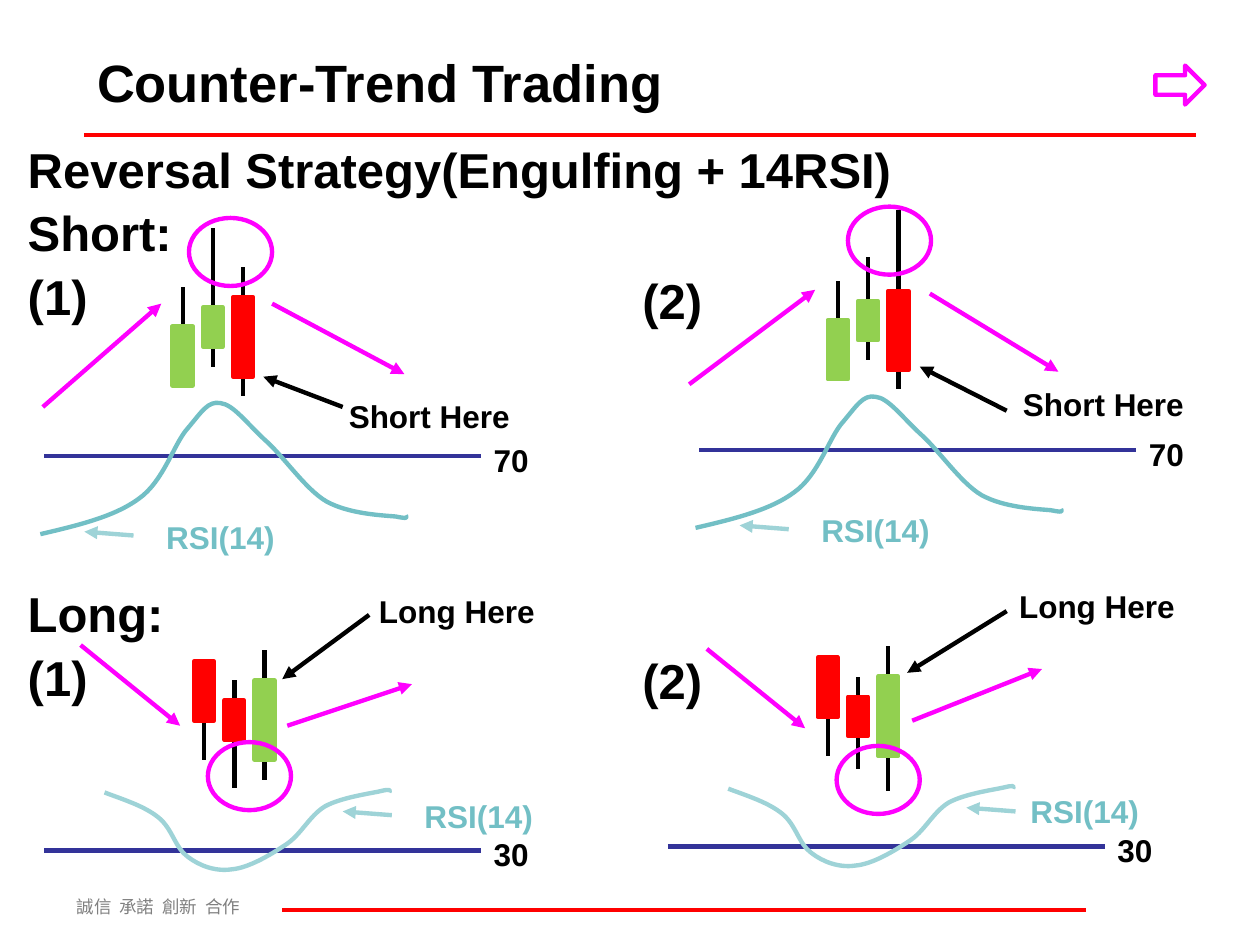
"""Build the Counter-Trend Trading slide with four RSI reversal setups."""
from dataclasses import dataclass

from lxml.etree import SubElement
from pptx import Presentation
from pptx.dml.color import RGBColor
from pptx.enum.shapes import MSO_CONNECTOR as Connector, MSO_SHAPE as Shape
from pptx.enum.text import MSO_ANCHOR as Anchor, MSO_AUTO_SIZE as AutoSize, PP_ALIGN as Align
from pptx.oxml.ns import qn
from pptx.util import Inches, Pt


@dataclass(frozen=True)
class Theme:
    ink: str = "000000"
    rule: str = "FF0000"
    rise: str = "92D050"
    fall: str = "FF0000"
    accent: str = "FF00FF"
    level: str = "333399"
    rsi: str = "72BFC5"
    rsi_light: str = "9ED3D7"
    motto: str = "808080"
    latin: str = "Arial"
    cjk: str = "Noto Sans CJK SC"
    title_size: int = 30
    body_size: int = 28
    label_size: int = 18
    motto_size: int = 10
    stroke: float = 2.5
    rule_stroke: float = 2.25


theme = Theme()
presentation = Presentation()
presentation.slide_width, presentation.slide_height = Inches(10), Inches(7.5)
slide = presentation.slides.add_slide(presentation.slide_layouts[1])
shapes = slide.shapes


def write(paragraph, text, size, color=theme.ink, font=theme.latin, bold=True):
    run = paragraph.add_run()
    run.text = text
    run.font.size, run.font.bold, run.font.name = Pt(size), bold, font
    run.font.color.rgb = RGBColor.from_string(color)
    SubElement(run.font._element, qn("a:ea")).set("typeface", font)


def draw_line(start, end, color, arrow=False, width=theme.stroke):
    stroke = shapes.add_connector(Connector.STRAIGHT, *(Inches(v) for v in (*start, *end)))
    stroke.line.color.rgb = RGBColor.from_string(color)
    stroke.line.width = Pt(width)
    if arrow:
        SubElement(stroke.line._get_or_add_ln(), qn("a:tailEnd")).set("type", "triangle")
    SubElement(stroke._element.spPr, qn("a:effectLst"))


draw_line((0.67, 1.07), (9.49, 1.07), theme.rule, width=theme.rule_stroke)
draw_line((2.24, 7.22), (8.62, 7.22), theme.rule, width=theme.rule_stroke)

heading = shapes.title
heading.left, heading.top, heading.width, heading.height = (
    Inches(v) for v in (0.67, 0.3, 9.06, 0.69))
heading.text_frame.vertical_anchor = Anchor.MIDDLE
heading.text_frame.paragraphs[0].alignment = Align.LEFT
write(heading.text_frame.paragraphs[0], "Counter-Trend Trading", theme.title_size)

outline = slide.placeholders[1]
outline.left, outline.top, outline.width, outline.height = (
    Inches(v) for v in (0.12, 1.11, 9.88, 4.6))
outline.text_frame.vertical_anchor = Anchor.TOP
outline.text_frame.auto_size = AutoSize.NONE
for row, (text, gap) in enumerate([
        ("Reversal Strategy(Engulfing + 14RSI)", 0), ("Short:", 6), ("(1)", 6),
        ("Long:", 151), ("(1)", 6)]):
    line = outline.text_frame.add_paragraph() if row else outline.text_frame.paragraphs[0]
    line.line_spacing, line.space_before = 0.9, Pt(gap)
    properties = line._p.get_or_add_pPr()
    properties.set("marL", "0")
    properties.set("indent", "0")
    SubElement(properties, qn("a:buNone"))
    write(line, text, theme.body_size)

motto = shapes.add_textbox(Inches(0.51), Inches(7.06), Inches(2.52), Inches(0.27))
motto.text_frame.word_wrap = True
motto_line = motto.text_frame.paragraphs[0]
tabs = SubElement(motto_line._p.get_or_add_pPr(), qn("a:tabLst"))
for stop in (0.34, 0.68, 1.02):
    tab = SubElement(tabs, qn("a:tab"))
    tab.set("pos", str(Inches(stop)))
    tab.set("algn", "l")
write(motto_line, "誠信\t承諾\t創新\t合作", theme.motto_size, theme.motto, theme.cjk, False)

strategies = [
    dict(
        entry="Short Here", level="70", level_y=3.62, level_label_y=3.45, second_y=2.1,
        first_candle=1.37, colors=(theme.rise, theme.rise, theme.fall), tops=(2.59, 2.44, 2.36),
        rsi_arrow=((1.06, 4.25), (0.67, 4.22)), rsi_width=2.13, curve_color=theme.rsi,
        curve=[(0.32, 4.24), (0.62, 4.17), (0.91, 4.1), (1.1, 3.96), (1.3, 3.82), (1.38, 3.52),
               (1.49, 3.4), (1.6, 3.27), (1.65, 3.18), (1.75, 3.2), (1.85, 3.21), (1.96, 3.36),
               (2.1, 3.49), (2.25, 3.62), (2.42, 3.88), (2.59, 3.98), (2.77, 4.08),
               (3.03, 4.09), (3.14, 4.1), (3.24, 4.12), (3.23, 4.11), (3.22, 4.09)],
        setups=[
            dict(shift=(0, 0), highs=(2.28, 1.81, 2.12), lows=(None, 2.91, 3.14),
                 trends=[((0.34, 3.23), (1.28, 2.41)), ((2.16, 2.41), (3.21, 2.97))],
                 entry_arrow=((2.72, 3.23), (2.09, 2.99)), entry_at=(2.67, 3.1),
                 rsi_at=(1.22, 4.06), ring=(1.5, 1.73)),
            dict(shift=(5.2, -0.05), highs=(2.23, 2.04, 1.67), lows=(None, 2.86, 3.09),
                 trends=[((5.47, 3.05), (6.47, 2.3)), ((7.38, 2.33), (8.4, 2.95))],
                 entry_arrow=((7.99, 3.26), (7.3, 2.91)), entry_at=(8.02, 3.01),
                 rsi_at=(6.42, 4.01), ring=(6.73, 1.64))]),
    dict(
        entry="Long Here", level="30", level_y=6.75, level_label_y=6.58, second_y=5.11,
        first_candle=1.54, colors=(theme.fall, theme.fall, theme.rise), tops=(5.25, 5.56, 5.4),
        rsi_arrow=((3.11, 6.47), (2.72, 6.44)), rsi_width=1.09, curve_color=theme.rsi_light,
        curve=[(0.83, 6.29), (0.99, 6.35), (1.15, 6.4), (1.26, 6.49), (1.37, 6.58), (1.39, 6.73),
               (1.49, 6.8), (1.58, 6.87), (1.71, 6.92), (1.84, 6.9), (1.97, 6.89), (2.14, 6.79),
               (2.26, 6.71), (2.39, 6.63), (2.45, 6.48), (2.58, 6.4), (2.71, 6.33),
               (2.93, 6.3), (3.02, 6.28), (3.1, 6.26), (3.1, 6.27), (3.09, 6.29)],
        setups=[
            dict(shift=(0, 0), highs=(None, 5.4, 5.16), lows=(6.03, 6.25, 6.19),
                 trends=[((0.64, 5.12), (1.43, 5.76)), ((2.28, 5.76), (3.27, 5.43))],
                 entry_arrow=((2.93, 4.88), (2.24, 5.39)), entry_at=(2.91, 4.65),
                 rsi_at=(3.27, 6.28), ring=(1.65, 5.89)),
            dict(shift=(4.95, -0.03), highs=(None, 5.37, 5.13), lows=(6, 6.1, 6.28),
                 trends=[((5.61, 5.15), (6.39, 5.78)), ((7.24, 5.72), (8.27, 5.31))],
                 entry_arrow=((7.99, 4.85), (7.2, 5.34)), entry_at=(7.99, 4.61),
                 rsi_at=(8.08, 6.24), ring=(6.64, 5.92))]),
]
candle_heights = (0.47, 0.31, 0.63)
candle_width, candle_pitch = 0.16, 0.24
figures = [(Shape.RIGHT_ARROW, (9.17, 0.52, 0.39, 0.31), None, theme.accent)]
labels = []

for strategy in strategies:
    labels.append(("(2)", (5, strategy["second_y"]), 0.8, theme.ink, theme.body_size))
    for setup in strategy["setups"]:
        dx, dy = setup["shift"]
        for index, (top, height, color, high, low) in enumerate(zip(
                strategy["tops"], candle_heights, strategy["colors"],
                setup["highs"], setup["lows"])):
            left, top = strategy["first_candle"] + index * candle_pitch + dx, top + dy
            figures.append((Shape.RECTANGLE, (left, top, candle_width, height), color, color))
            middle = left + candle_width / 2
            for edge, tip in ((top, high), (top + height, low)):
                if tip is not None:
                    draw_line((middle, edge), (middle, tip), theme.ink)
        figures.append((Shape.OVAL, (*setup["ring"], 0.66, 0.54), None, theme.accent))

        level_y = strategy["level_y"] + dy
        draw_line((0.35 + dx, level_y), (3.82 + dx, level_y), theme.level)
        for start, end in setup["trends"]:
            draw_line(start, end, theme.accent, arrow=True)
        draw_line(*setup["entry_arrow"], theme.ink, arrow=True)
        draw_line(*((x + dx, y + dy) for x, y in strategy["rsi_arrow"]), theme.rsi_light, arrow=True)

        points = [(Inches(x + dx), Inches(y + dy)) for x, y in strategy["curve"]]
        builder = shapes.build_freeform(*points[0])
        builder.add_line_segments(points[1:], close=False)
        curve = builder.convert_to_shape()
        curve.shadow.inherit = False
        curve.fill.background()
        curve.line.color.rgb = RGBColor.from_string(strategy["curve_color"])
        curve.line.width = Pt(theme.stroke)
        trace = next(curve._element.iter(qn("a:path")))
        segments = trace.findall(qn("a:lnTo"))
        for first in range(0, len(segments), 3):
            bezier = SubElement(trace, qn("a:cubicBezTo"))
            for segment in segments[first:first + 3]:
                bezier.append(segment[0])
                trace.remove(segment)

        level_at = (3.82 + dx, strategy["level_label_y"] + dy)
        labels += [
            (strategy["entry"], setup["entry_at"], 1.5, theme.ink, theme.label_size),
            (strategy["level"], level_at, 0.55, theme.ink, theme.label_size),
            ("RSI(14)", setup["rsi_at"], strategy["rsi_width"], theme.rsi, theme.label_size)]

for text, (x, y), width, color, size in labels:
    label = shapes.add_textbox(Inches(x), Inches(y), Inches(width), Inches(0.1 + size / 60))
    label.text_frame.word_wrap = True
    write(label.text_frame.paragraphs[0], text, size, color)

for preset, place, fill, stroke in figures:
    figure = shapes.add_shape(preset, *(Inches(v) for v in place))
    figure.shadow.inherit = False
    if fill:
        figure.fill.solid()
        figure.fill.fore_color.rgb = RGBColor.from_string(fill)
    else:
        figure.fill.background()
    figure.line.color.rgb = RGBColor.from_string(stroke)
    figure.line.width = Pt(theme.stroke)

presentation.save("out.pptx")
